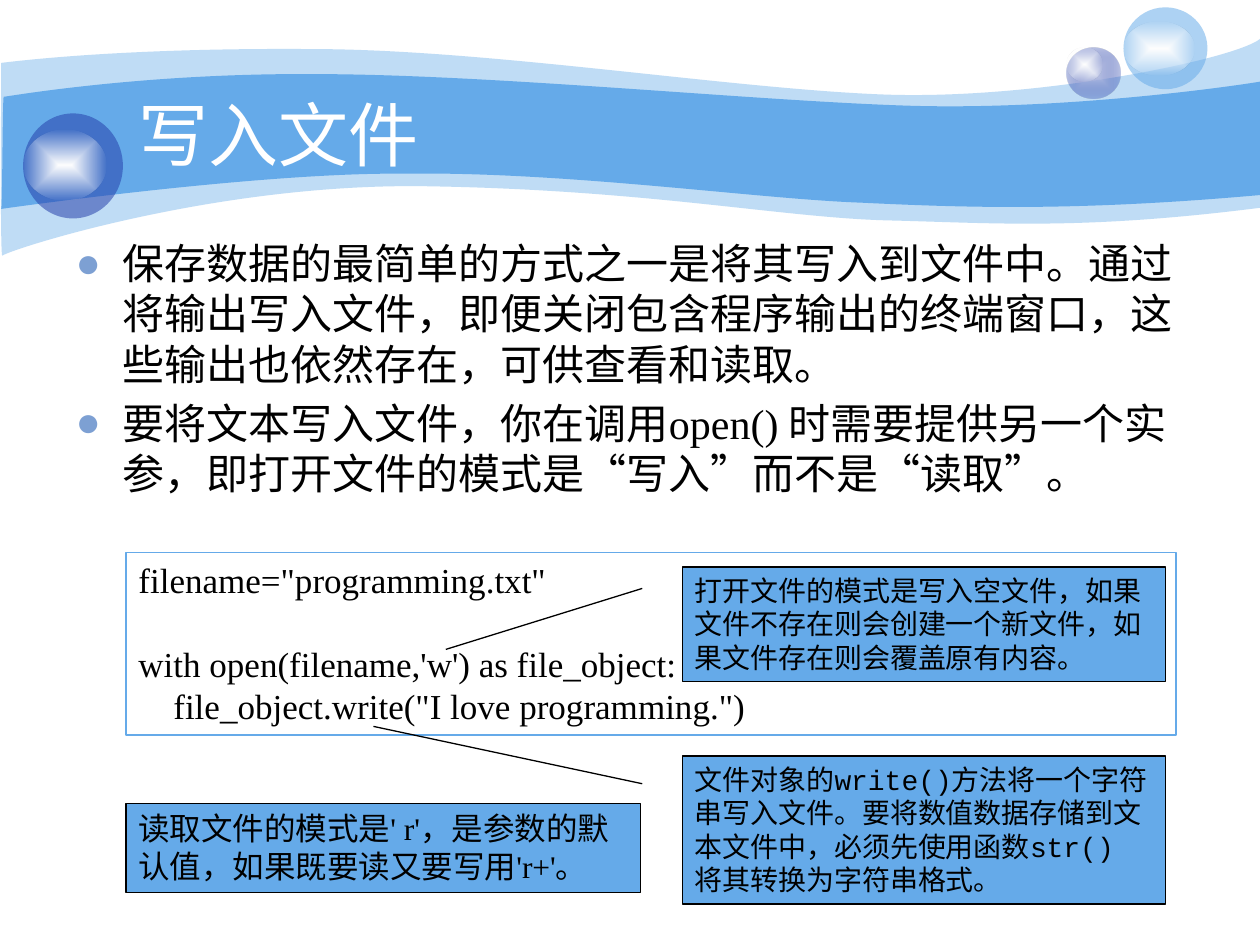
from collections import namedtuple
from lxml import etree
from pptx import Presentation
from pptx.dml.color import RGBColor
from pptx.enum.lang import MSO_LANGUAGE_ID
from pptx.enum.shapes import MSO_SHAPE
from pptx.enum.text import MSO_ANCHOR, MSO_AUTO_SIZE, PP_ALIGN
from pptx.oxml.ns import qn
from pptx.util import Inches, Pt

COLORS = {
    "sky": "65AAE9", "navy": "233DA9", "mist": "C7CEE9", "bullet": "7DA0D3",
    "white": "FFFFFF", "black": "000000",
}
SERIF, MONO = "Times New Roman", "Courier New"
WIDTH, HEIGHT = Inches(10), Inches(7.5)
CELL = WIDTH / 120  # the grid has 120 columns and 90 rows
HANGING = round(4.5 * CELL)
Box = namedtuple("Box", "left top width height")


def grid(col, row, cols, rows):
    return Box(*(round(n * CELL) for n in (col, row, cols, rows)))


def inside(box, left, top, width, height):
    """Part of a box, given as shares of it."""
    return Box(round(box.left + left * box.width), round(box.top + top * box.height),
               round(width * box.width), round(height * box.height))


def rgb(name):
    return RGBColor.from_string(COLORS[name])


def add_color(parent, name, alpha=100):
    color = etree.SubElement(parent, qn("a:srgbClr"), val=COLORS[name])
    if alpha < 100:
        etree.SubElement(color, qn("a:alpha"), val=str(alpha * 1000))


def fill_solid(shape, name, alpha=100):
    shape.fill.solid()
    shape.fill.fore_color.rgb = rgb(name)
    if alpha < 100:
        color = shape.fill._xPr.find(qn("a:solidFill"))[0]
        etree.SubElement(color, qn("a:alpha"), val=str(alpha * 1000))


def fill_glow(shape, center, edge, edge_alpha):
    """Gradient that runs from the centre of the shape to its edge."""
    shape.fill.gradient()
    gradient = shape.fill._xPr.find(qn("a:gradFill"))
    for child in list(gradient):
        gradient.remove(child)
    stops = etree.SubElement(gradient, qn("a:gsLst"))
    for pos, name, alpha in ((0, center, 100), (100, edge, edge_alpha)):
        add_color(etree.SubElement(stops, qn("a:gs"), pos=str(pos * 1000)), name, alpha)
    shade = etree.SubElement(gradient, qn("a:path"), attrib={"path": "shape"})
    etree.SubElement(shade, qn("a:fillToRect"), l="50000", t="50000", r="50000", b="50000")


def add_run(paragraph, text, font, size, color):
    run = paragraph.add_run()
    run.text = text
    run.font.name, run.font.size = font, Pt(size)
    run.font.color.rgb = rgb(color)
    run.font.language_id = MSO_LANGUAGE_ID.SIMPLIFIED_CHINESE


def prepare_frame(shape, anchor):
    frame = shape.text_frame
    frame.word_wrap, frame.auto_size = True, MSO_AUTO_SIZE.NONE
    frame.vertical_anchor = anchor
    return frame


def place(shape, box):
    shape.left, shape.top, shape.width, shape.height = box


def add_wave(slide, box, start, segments, alpha=100):
    """Band of cubic curves and lines; points are tenths of the box width."""
    unit = box.width / 10
    outline = [(round(box.left + x * unit), round(box.top + y * unit))
               for x, y in [start, *(p for segment in segments for p in segment)]]
    builder = slide.shapes.build_freeform(*outline[0])
    builder.add_line_segments(outline[1:], close=True)
    wave = builder.convert_to_shape()
    wave.shadow.inherit = False
    fill_solid(wave, "sky", alpha)
    wave.line.fill.background()
    # Join each three straight steps of a curve into one cubic segment
    steps = iter(list(wave._element.iter(qn("a:lnTo"))))
    for segment in segments:
        step = next(steps)
        if len(segment) == 3:
            curve = etree.Element(qn("a:cubicBezTo"))
            step.addprevious(curve)
            for part in (step, next(steps), next(steps)):
                curve.append(part[0])
                part.getparent().remove(part)


def add_orb(slide, box, shine, paint):
    """Coloured ball with a white shine inside it."""
    orb = slide.shapes.add_group_shape()
    for part, fill in ((box, paint), (inside(box, *shine),
                                      lambda s: fill_glow(s, "white", "white", 0))):
        ball = orb.shapes.add_shape(MSO_SHAPE.OVAL, *part)
        ball.shadow.inherit = False
        ball.line.fill.background()
        fill(ball)


def add_header(slide, box):
    add_wave(slide, inside(box, 0, 0.15, 1, 0.85), (0.01, 0.19), [
        [(0.25, 0.16), (1.09, 0.07), (2.47, 0.08)], [(3.86, 0.08), (5.76, 0.39), (6.99, 0.44)],
        [(8.22, 0.49), (9.8, 0.16), (10, 0)], [(10, 1.34)],
        [(8.58, 1.52), (7.88, 1.46), (7.05, 1.44)], [(6.22, 1.42), (5.16, 1.2), (3.44, 1.17)],
        [(1.73, 1.13), (0.05, 1.68), (0.02, 1.72)], [(0, 1.77), (0.01, 0.44), (0.01, 0.19)],
    ], alpha=41)
    add_wave(slide, inside(box, 0, 0.28, 1, 0.53), (0.03, 0.19), [
        [(0.05, 0.19), (1.12, 0), (2.5, 0.01)], [(3.88, 0.01), (5.96, 0.22), (7.19, 0.26)],
        [(8.42, 0.3), (9.76, 0.11), (10, 0.07)], [(10, 0.97)],
        [(8.53, 1.1), (7.66, 1.07), (6.83, 1.03)], [(6, 1), (4.48, 0.78), (3.19, 0.8)],
        [(2.05, 0.79), (0, 1.08), (0.01, 1.08)], [(0.02, 1.08), (0.02, 0.19), (0.03, 0.19)],
    ])
    add_orb(slide, grid(101.6, 4.5, 5.1, 4.9), (0, 0, 0.67, 0.67),
            lambda s: fill_glow(s, "mist", "navy", 31))
    add_orb(slide, grid(107, 0.7, 8, 7.8), (0, 0.17, 0.84, 0.66),
            lambda s: fill_solid(s, "sky", 53))
    add_orb(slide, grid(2.2, 10.8, 9.5, 10), (0, 0.16, 0.83, 0.67),
            lambda s: fill_solid(s, "navy", 53))


def add_title(slide, box, text):
    title = slide.shapes.title
    slide.shapes._spTree.append(title._element)  # in front of the header
    place(title, box)
    heading = prepare_frame(title, MSO_ANCHOR.MIDDLE).paragraphs[0]
    heading.alignment = PP_ALIGN.LEFT
    add_run(heading, text, SERIF, 40, "white")


def add_points(slide, box, points):
    body = slide.placeholders[1]
    slide.shapes._spTree.append(body._element)
    place(body, box)
    frame = prepare_frame(body, MSO_ANCHOR.TOP)
    for index, text in enumerate(points):
        point = frame.add_paragraph() if index else frame.paragraphs[0]
        props = point._p.get_or_add_pPr()
        props.set("marL", str(HANGING))
        props.set("indent", str(-HANGING))
        add_color(etree.SubElement(props, qn("a:buClr")), "bullet")
        etree.SubElement(props, qn("a:buChar"), char="●")
        point.space_before = Pt(5 if index else 0)
        add_run(point, text, SERIF, 24, "black")


def add_panel(slide, box, lines, font, size, filled=True, pointer=None):
    """Framed text; a pointer (y1, x1, y2, x2) makes it a callout."""
    kind = MSO_SHAPE.LINE_CALLOUT_1 if pointer else MSO_SHAPE.RECTANGLE
    panel = slide.shapes.add_shape(kind, *box)
    panel.shadow.inherit = False
    for index, share in enumerate(pointer or ()):
        panel.adjustments[index] = share
    if filled:
        fill_solid(panel, "sky")
    else:
        panel.fill.background()
    panel.line.color.rgb = rgb("black" if filled else "sky")
    panel.line.width = Pt(0.75)
    frame = prepare_frame(panel, MSO_ANCHOR.TOP)
    for index, (text, gap) in enumerate(lines):
        line = frame.add_paragraph() if index else frame.paragraphs[0]
        line.alignment, line.space_before = PP_ALIGN.LEFT, Pt(gap)
        add_run(line, text, font, size, "black")


def main():
    deck = Presentation()
    deck.slide_width, deck.slide_height = WIDTH, HEIGHT
    slide = deck.slides.add_slide(deck.slide_layouts[1])

    # Header, title and list
    add_header(slide, grid(0, 0, 120, 24.8))
    add_title(slide, grid(12, 9, 97, 7.4), "写入文件")
    add_points(slide, grid(6, 22, 108, 29), [
        "保存数据的最简单的方式之一是将其写入到文件中。通过将输出写入文件，即便关闭包含程序输出的终端窗口，这些输出也依然存在，可供查看和读取。",
        "要将文本写入文件，你在调用open() 时需要提供另一个实参，即打开文件的模式是“写入”而不是“读取”。",
    ])

    # Code with its two callouts
    add_panel(slide, grid(12, 52.6, 100, 17.4), [
        ('filename="programming.txt"', 0),
        ("with open(filename,'w') as file_object:", 24),
        ('    file_object.write("I love programming.")', 0),
    ], SERIF, 20, filled=False)
    add_panel(slide, grid(65, 54, 46, 10.9), [
        ("打开文件的模式是写入空文件，如果文件不存在则会创建一个新文件，如果文件存在则会覆盖原有内容。", 0),
    ], MONO, 16, pointer=(3 / 16, -1 / 12, 0.72, -0.49))
    add_panel(slide, grid(65, 72, 46, 14.1), [
        ("文件对象的write()方法将一个字符串写入文件。要将数值数据存储到文本文件中，必须先使用函数str() 将其转换为字符串格式。", 0),
    ], MONO, 16, pointer=(3 / 16, -1 / 12, -0.2, -0.64))

    # Note on reading modes
    add_panel(slide, grid(12, 76.5, 49, 8.5), [
        ("读取文件的模式是' r'，是参数的默认值，如果既要读又要写用'r+'。", 0),
    ], SERIF, 18)
    deck.save("out.pptx")


if __name__ == "__main__":
    main()
